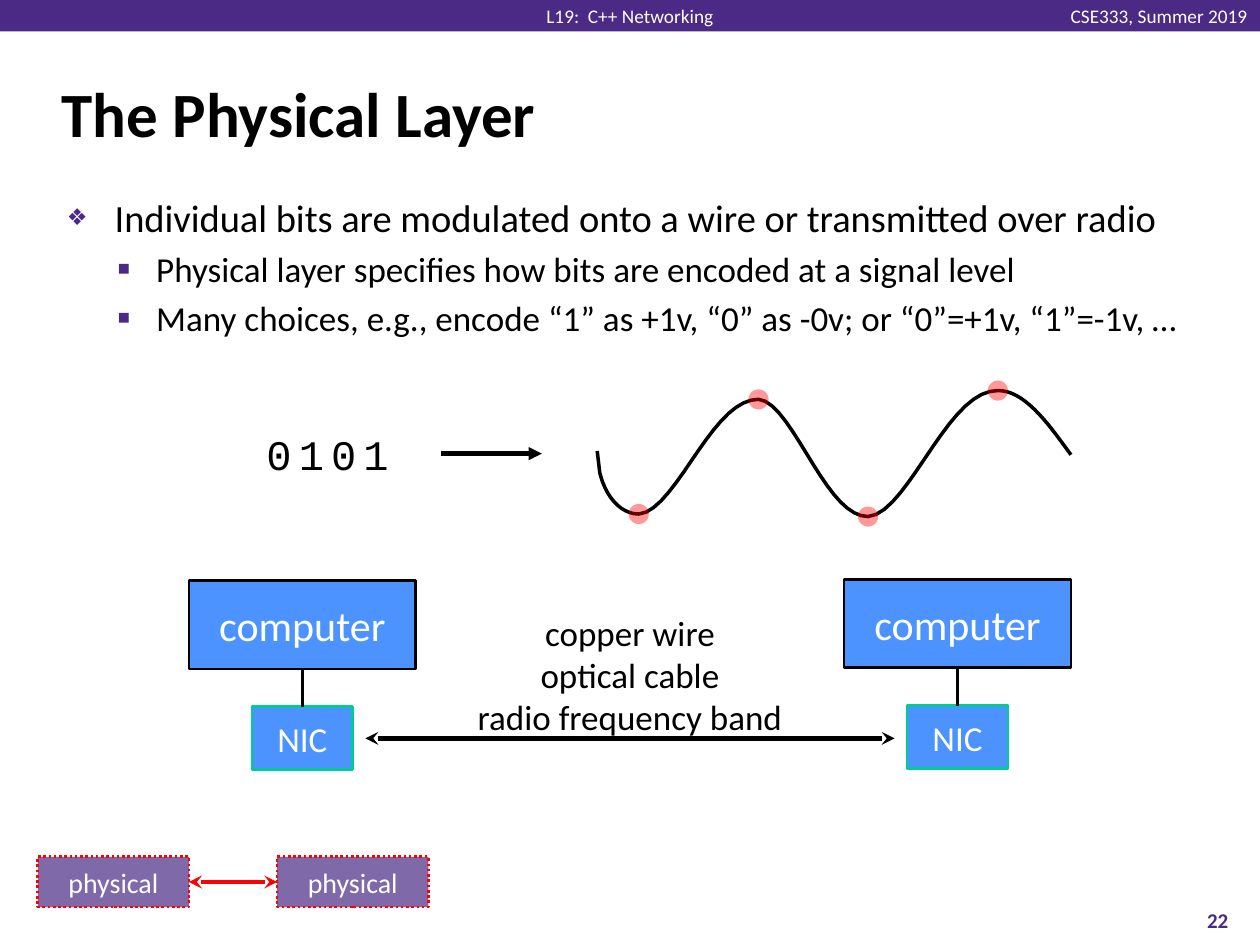
"""Build the slide on the physical layer of a network."""
from dataclasses import dataclass
from math import cos, pi, sqrt

from lxml import etree
from pptx import Presentation
from pptx.dml.color import RGBColor
from pptx.enum.dml import MSO_LINE
from pptx.enum.shapes import MSO_CONNECTOR, MSO_SHAPE
from pptx.enum.text import MSO_ANCHOR, MSO_AUTO_SIZE, PP_ALIGN as AL
from pptx.oxml.ns import qn
from pptx.util import Inches, Pt

PURPLE, BLUE, GREEN, RED = "4B2A85", "0066FF", "00CC99", "FF0000"
BLACK, WHITE = "000000", "FFFFFF"
SIDE_TOP, SIDE_LEFT, SIDE_BOTTOM, SIDE_RIGHT = range(4)

WAVE_START, WAVE_END = (4.74, 3.58), (8.5, 3.61)
WAVE_PEAKS = [(5.07, 4.08), (6.02, 3.17), (6.89, 4.1), (7.92, 3.1)]
STEPS_PER_ARC = 16
DOT_SIZE = 0.16


@dataclass
class Node:
    x: float
    y: float
    w: float
    h: float
    text: str
    size: int
    fill: str
    line: str
    dotted: bool = False
    inset: float = 0.1


@dataclass
class BulletStyle:
    size: int
    char: str
    scale: int
    margin: float
    hang: float


BULLET_STYLES = [BulletStyle(22, "❖", 60, 0.38, 0.38), BulletStyle(20, "▪", 110, 0.71, 0.31)]
BULLETS = [
    (0, "Individual bits are modulated onto a wire or transmitted over radio"),
    (1, "Physical layer specifies how bits are encoded at a signal level"),
    (1, "Many choices, e.g., encode “1” as +1v, “0” as -0v; or “0”=+1v, “1”=-1v, …"),
]


def rgb(color: str) -> RGBColor:
    return RGBColor.from_string(color)


def inches(*values: float) -> list:
    return [Inches(v) for v in values]


def add_run(p, text: str, size=18, color=BLACK, font="Calibri", bold=False):
    r = p.add_run()
    r.text = text
    r.font.size, r.font.name, r.font.bold = Pt(size), font, bold
    r.font.color.rgb = rgb(color)


def write(tf, text: str, align=AL.LEFT, anchor=MSO_ANCHOR.TOP, wrap=True, **fmt):
    tf.word_wrap, tf.vertical_anchor = wrap, anchor
    for i, line in enumerate(text.split("\n")):
        p = tf.add_paragraph() if i else tf.paragraphs[0]
        p.alignment = align
        add_run(p, line, **fmt)


def set_indent(p, margin: float, hang: float):
    pPr = p._p.get_or_add_pPr()
    pPr.set("marL", str(Inches(margin)))
    pPr.set("indent", str(-Inches(hang)))
    return pPr


def add_bullet(p, level: int, text: str):
    style = BULLET_STYLES[level]
    p.level = level
    pPr = set_indent(p, style.margin, style.hang)
    clr = etree.SubElement(pPr, qn("a:buClr"))
    etree.SubElement(clr, qn("a:srgbClr"), val=PURPLE)
    etree.SubElement(pPr, qn("a:buSzPct"), val=str(style.scale * 1000))
    etree.SubElement(pPr, qn("a:buFont"), typeface="Calibri")
    etree.SubElement(pPr, qn("a:buChar"), char=style.char)
    add_run(p, text, size=style.size)


def add_solid(s, kind, box: tuple, fill: str, alpha=100):
    sp = s.shapes.add_shape(kind, *inches(*box))
    sp.shadow.inherit = False
    sp.fill.solid()
    sp.fill.fore_color.rgb = rgb(fill)
    sp.line.fill.background()
    if alpha < 100:
        clr = sp.element.spPr.find(qn("a:solidFill")).find(qn("a:srgbClr"))
        etree.SubElement(clr, qn("a:alpha"), val=str(alpha * 1000))
    return sp


def add_node(s, n: Node):
    sp = add_solid(s, MSO_SHAPE.RECTANGLE, (n.x, n.y, n.w, n.h), n.fill, 70)
    sp.line.color.rgb, sp.line.width = rgb(n.line), Pt(1.5)
    if n.dotted:
        sp.line.dash_style = MSO_LINE.ROUND_DOT
    tf = sp.text_frame
    tf.margin_left = tf.margin_right = Inches(n.inset)
    write(tf, n.text, AL.CENTER, MSO_ANCHOR.MIDDLE, size=n.size, color=WHITE)
    return sp


def add_line(s, start: tuple, end: tuple, color=BLACK, width=2.5, head=None, tail=None):
    c = s.shapes.add_connector(MSO_CONNECTOR.STRAIGHT, *inches(*start, *end))
    c.line.color.rgb, c.line.width = rgb(color), Pt(width)
    spPr = c.element.spPr
    for tag, kind in (("a:headEnd", head), ("a:tailEnd", tail)):
        if kind:
            etree.SubElement(spPr.find(qn("a:ln")), qn(tag), type=kind)
    etree.SubElement(spPr, qn("a:effectLst"))
    return c


def join(c, first, first_side: int, second, second_side: int):
    c.begin_connect(first, first_side)
    c.end_connect(second, second_side)


def add_text(s, box: tuple, text: str, inset_y=0.05, **fmt):
    tf = s.shapes.add_textbox(*inches(*box)).text_frame
    tf.margin_top = tf.margin_bottom = Inches(inset_y)
    write(tf, text, **fmt)


def add_host(s, x: float, y: float):
    computer = add_node(s, Node(x, y, 1.8, 0.7, "computer", 24, BLUE, BLACK))
    nic = add_node(s, Node(x + 0.5, y + 1, 0.8, 0.5, "NIC", 20, BLUE, GREEN))
    c = add_line(s, (x + 0.9, y + 0.7), (x + 0.9, y + 1), width=2)
    join(c, computer, SIDE_BOTTOM, nic, SIDE_TOP)


def add_physical_link(s):
    left, right = [add_node(s, Node(x, 6.8, 1.2, 0.4, "physical", 16, PURPLE, RED, True, 0))
                   for x in (0.3, 2.2)]
    c = add_line(s, (1.5, 7), (2.2, 7), RED, head="stealth", tail="stealth")
    join(c, left, SIDE_RIGHT, right, SIDE_LEFT)


def ease_in(t: float) -> float:
    return sqrt(1 - (1 - t) ** 2)


def swing(t: float) -> float:
    return (1 - cos(pi * t ** 0.9)) / 2


def ease_out(t: float) -> float:
    return 1 - cos(pi * t / 2)


def wave_points() -> list:
    stops = [WAVE_START, *WAVE_PEAKS, WAVE_END]
    eases = [ease_in] + [swing] * (len(WAVE_PEAKS) - 1) + [ease_out]
    points = [WAVE_START]
    for (x0, y0), (x1, y1), ease in zip(stops, stops[1:], eases):
        for step in range(1, STEPS_PER_ARC + 1):
            t = step / STEPS_PER_ARC
            points.append((x0 + (x1 - x0) * t, y0 + (y1 - y0) * ease(t)))
    return points


def add_wave(s):
    start, *rest = [inches(*pt) for pt in wave_points()]
    fb = s.shapes.build_freeform(*start)
    fb.add_line_segments(rest, close=False)
    sp = fb.convert_to_shape()
    sp.shadow.inherit = False
    sp.fill.background()
    sp.line.color.rgb, sp.line.width = rgb(BLACK), Pt(2)
    for x, y in WAVE_PEAKS:
        box = (x - DOT_SIZE / 2, y - DOT_SIZE / 2, DOT_SIZE, DOT_SIZE)
        add_solid(s, MSO_SHAPE.OVAL, box, RED, 40)


def add_bits(s, bits: str):
    p = s.shapes.add_textbox(*inches(2, 3.35, 1.2, 0.5)).text_frame.paragraphs[0]
    p.alignment = AL.CENTER
    for i, bit in enumerate(bits):
        if i:
            add_run(p, " ")
        add_run(p, bit, size=24, font="Courier New")


def add_header(s):
    add_solid(s, MSO_SHAPE.RECTANGLE, (0, 0, 10, 0.25), PURPLE)
    for x, w, text, align in ((8.38, 1.62, "CSE333, Summer 2019", AL.RIGHT),
                              (4.23, 1.54, "L19:  C++ Networking", AL.CENTER)):
        add_text(s, (x, 0.03, w, 0.19), text, inset_y=0, align=align,
                 anchor=MSO_ANCHOR.MIDDLE, wrap=False, size=11, color=WHITE)


def fill_placeholders(s):
    title, body = s.placeholders
    title.left, title.top, title.width, title.height = inches(0.39, 0.48, 9.19, 0.83)
    write(title.text_frame, "The Physical Layer", anchor=MSO_ANCHOR.MIDDLE, size=36, bold=True)
    set_indent(title.text_frame.paragraphs[0], 0.13, 0.13)
    body.left, body.top, body.width, body.height = inches(0.43, 1.49, 9.15, 1.6)
    tf = body.text_frame
    tf.auto_size = MSO_AUTO_SIZE.NONE
    for i, (level, text) in enumerate(BULLETS):
        add_bullet(tf.add_paragraph() if i else tf.paragraphs[0], level, text)


def main():
    prs = Presentation()
    prs.slide_width, prs.slide_height = inches(10, 7.5)
    s = prs.slides.add_slide(prs.slide_layouts[1])
    add_header(s)
    fill_placeholders(s)
    add_text(s, (9.33, 7.1, 0.67, 0.4), "22", align=AL.CENTER,
             anchor=MSO_ANCHOR.MIDDLE, size=12, color=PURPLE, bold=True)
    add_physical_link(s)
    add_host(s, 1.5, 4.61)
    add_host(s, 6.7, 4.6)
    add_line(s, (2.9, 5.86), (7.1, 5.86), head="stealth", tail="stealth")
    add_text(s, (3.6, 4.8, 2.8, 1.11), "copper wire\noptical cable\nradio frequency band",
             align=AL.CENTER, size=20)
    add_bits(s, "0101")
    add_wave(s)
    add_line(s, (3.5, 3.6), (4.3, 3.6), tail="triangle")
    prs.save("out.pptx")


if __name__ == "__main__":
    main()
